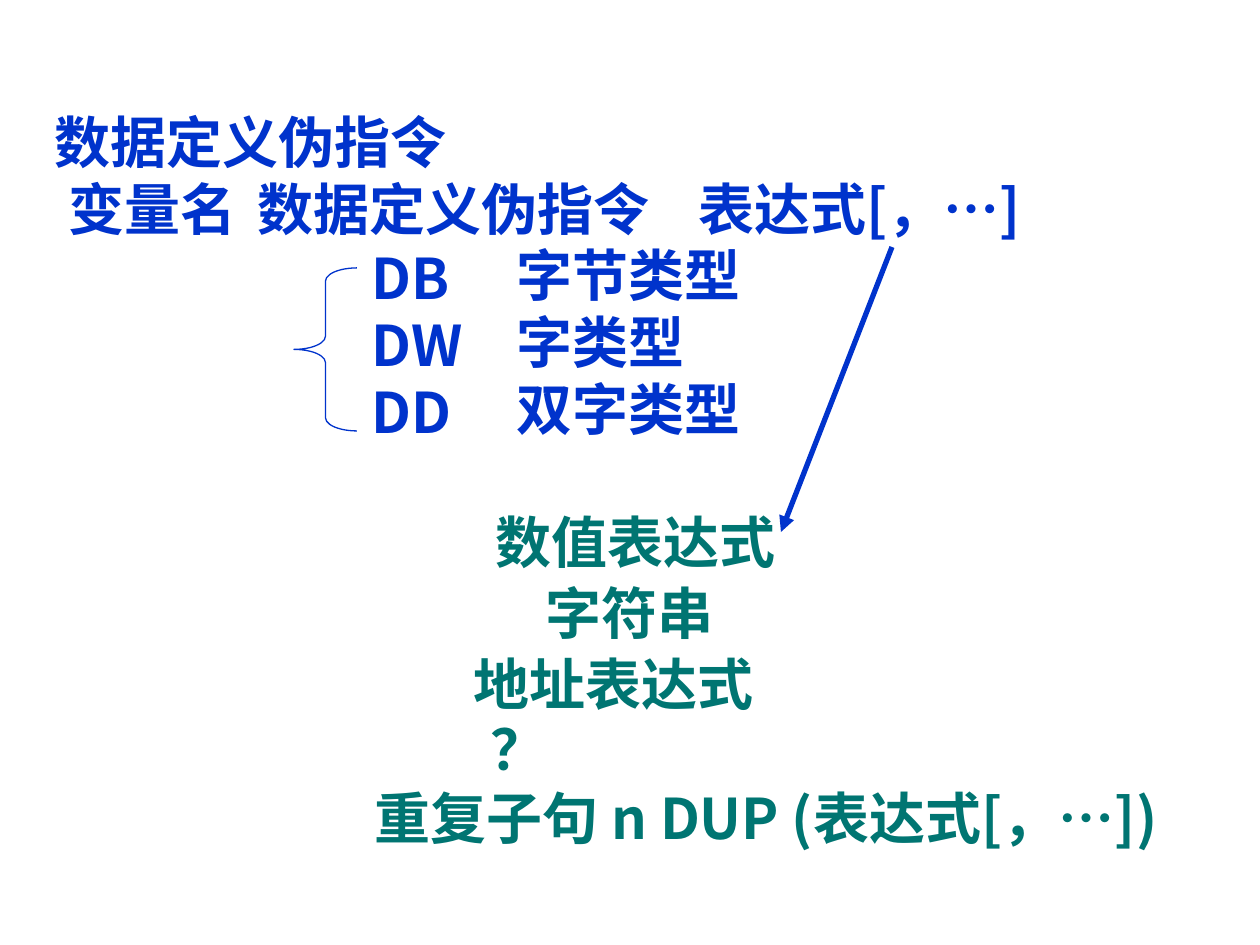
from lxml import etree
from pptx import Presentation
from pptx.dml.color import RGBColor
from pptx.enum.shapes import MSO_CONNECTOR, MSO_SHAPE
from pptx.oxml.ns import qn
from pptx.util import Pt

PX = 914400 // 126
STRAIGHT = MSO_CONNECTOR.STRAIGHT
LEFT_BRACE = MSO_SHAPE.LEFT_BRACE
COLORS = {"blue": "0033CC", "teal": "007572"}
CJK, SERIF = "Noto Sans CJK SC", "Times New Roman"
FORMAT = {"size": Pt(32), "bold": True}

BOXES = [
    ("blue", (42, 101, 1197, 147), ["数据定义伪指令", "变量名\t数据定义伪指令\t表达式[，…]"]),
    ("blue", (504, 234, 285, 214), ["字节类型", "字类型", "双字类型"]),
    ("blue", (359, 237, 151, 214), ["DB", "DW", "DD"]),
    ("teal", (483, 501, 350, 81), ["数值表达式"]),
    ("teal", (533, 572, 193, 81), ["字符串"]),
    ("teal", (461, 643, 370, 81), ["地址表达式"]),
    ("teal", (478, 708, 81, 81), ["？"]),
    ("teal", (362, 777, 940, 81), ["重复子句 n DUP (表达式[，…])"]),
]
SYNTAX_INDENT = 14
SYNTAX_TABS = [207, 625]
ARROW = (892, 247, 781, 532)
BRACE = (294, 268, 63, 163)


def emu(lengths):
    return [n * PX for n in lengths]


def rgb(name):
    return RGBColor.from_string(COLORS[name])


def add_run(p, text, font, color):
    r = p.add_run()
    r.text = text
    for key, value in {**FORMAT, "name": font}.items():
        setattr(r.font, key, value)
    r.font.color.rgb = rgb(color)
    etree.SubElement(r.font._element, qn("a:ea"), typeface=CJK)


def set_tabs(p):
    pPr = p._p.get_or_add_pPr()
    pPr.set("marL", str(SYNTAX_INDENT * PX))
    pPr.set("indent", "0")
    tabs = etree.SubElement(pPr, qn("a:tabLst"))
    for pos in SYNTAX_TABS:
        etree.SubElement(tabs, qn("a:tab"), pos=str(pos * PX), algn="l")


def add_text(slide, color, box, lines):
    tf = slide.shapes.add_textbox(*emu(box)).text_frame
    tf.word_wrap = True
    for i, line in enumerate(lines):
        p = tf.add_paragraph() if i else tf.paragraphs[0]
        if "\t" in line:
            set_tabs(p)
        before, dots, after = line.partition("…")
        for text, font in ((before, CJK), (dots, SERIF), (after, CJK)):
            if text:
                add_run(p, text, font, color)


def add_arrow(slide):
    line = slide.shapes.add_connector(STRAIGHT, *emu(ARROW))
    line.line.color.rgb = rgb("blue")
    line.line.width = Pt(3)
    etree.SubElement(line.line._get_or_add_ln(), qn("a:tailEnd"), type="triangle")
    etree.SubElement(line._element.spPr, qn("a:effectLst"))


def add_brace(slide):
    sp = slide.shapes.add_shape(LEFT_BRACE, *emu(BRACE))
    sp.adjustments[0] = 0.21
    sp.shadow.inherit = False
    sp.fill.background()
    sp.line.color.rgb = rgb("blue")
    sp.line.width = Pt(0.75)


def main():
    prs = Presentation()
    prs.slide_width, prs.slide_height = emu((1260, 945))
    slide = prs.slides.add_slide(prs.slide_layouts[6])
    for color, box, lines in BOXES:
        add_text(slide, color, box, lines)
    add_arrow(slide)
    add_brace(slide)
    prs.save("out.pptx")


if __name__ == "__main__":
    main()
